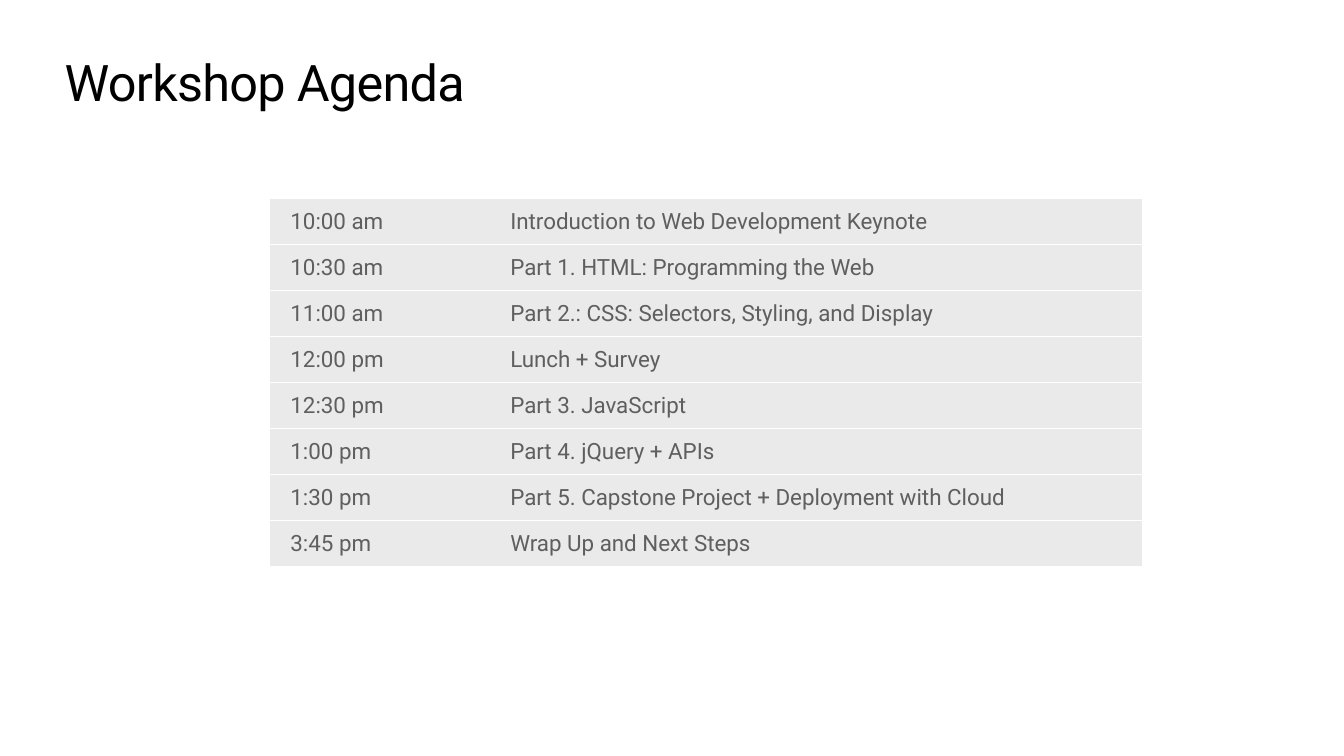
from dataclasses import dataclass

from lxml import etree
from pptx import Presentation
from pptx import util as u
from pptx.dml import color
from pptx.enum import text
from pptx.oxml import ns


@dataclass(frozen=True)
class Theme:
    font: str = "Roboto"
    title_color: str = "000000"
    text_color: str = "5F5F5F"
    row_fill: str = "EAEAEA"
    rule: str = "FFFFFF"
    title_size: float = 36
    text_size: float = 16
    rule_width: float = 0.75


THEME = Theme()

AGENDA = [
    ("10:00 am", "Introduction to Web Development Keynote"),
    ("10:30 am", "Part 1. HTML: Programming the Web"),
    ("11:00 am", "Part 2.: CSS: Selectors, Styling, and Display"),
    ("12:00 pm", "Lunch + Survey"),
    ("12:30 pm", "Part 3. JavaScript"),
    ("1:00 pm", "Part 4. jQuery + APIs"),
    ("1:30 pm", "Part 5. Capstone Project + Deployment with Cloud"),
    ("3:45 pm", "Wrap Up and Next Steps"),
]
COLUMN_WIDTHS = (5.54, 16.43)
ROW_HEIGHT = 1.16


def add_run(paragraph, wording, size, rgb):
    run = paragraph.add_run()
    run.text = wording
    run.font.name = THEME.font
    run.font.size = u.Pt(size)
    run.font.color.rgb = color.RGBColor.from_string(rgb)
    return run


def set_title(slide, wording):
    title = slide.shapes.title
    title.left, title.top = u.Cm(1.63), u.Cm(1.27)
    title.width, title.height = u.Cm(30.61), u.Cm(1.55)
    frame = title.text_frame
    frame.margin_left = frame.margin_right = 0
    frame.margin_top = frame.margin_bottom = 0
    frame.vertical_anchor = text.MSO_ANCHOR.MIDDLE
    frame.word_wrap = True
    heading = frame.paragraphs[0]
    heading.alignment = text.PP_ALIGN.LEFT
    heading.line_spacing = 1.0
    run = add_run(heading, wording, THEME.title_size, THEME.title_color)
    run.font._element.set("spc", "-50")


def set_borders(cell):
    properties = cell._tc.get_or_add_tcPr()
    for position, side in enumerate(("lnL", "lnR", "lnT", "lnB")):
        border = etree.Element(ns.qn(f"a:{side}"))
        if side in ("lnT", "lnB"):
            border.set("w", str(u.Pt(THEME.rule_width)))
            fill = etree.SubElement(border, ns.qn("a:solidFill"))
            etree.SubElement(fill, ns.qn("a:srgbClr"), val=THEME.rule)
        else:
            etree.SubElement(border, ns.qn("a:noFill"))
        properties.insert(position, border)


def fill_cell(cell, wording):
    cell.margin_left = cell.margin_right = u.Cm(0.51)
    cell.margin_top = cell.margin_bottom = u.Cm(0.25)
    cell.vertical_anchor = text.MSO_ANCHOR.MIDDLE
    cell.fill.solid()
    cell.fill.fore_color.rgb = color.RGBColor.from_string(THEME.row_fill)
    set_borders(cell)
    add_run(cell.text_frame.paragraphs[0], wording,
            THEME.text_size, THEME.text_color)


def add_agenda(slide):
    agenda = slide.shapes.add_table(
        len(AGENDA), len(COLUMN_WIDTHS), u.Cm(6.81), u.Cm(5),
        u.Cm(sum(COLUMN_WIDTHS)), u.Cm(ROW_HEIGHT * len(AGENDA))).table
    agenda.first_row = agenda.horz_banding = False
    for column, width in zip(agenda.columns, COLUMN_WIDTHS):
        column.width = u.Cm(width)
    for row, session in zip(agenda.rows, AGENDA):
        row.height = u.Cm(ROW_HEIGHT)
        for cell, wording in zip(row.cells, session):
            fill_cell(cell, wording)


def main():
    deck = Presentation()
    deck.slide_width, deck.slide_height = u.Cm(33.87), u.Cm(19.05)
    slide = deck.slides.add_slide(deck.slide_layouts[5])
    set_title(slide, "Workshop Agenda")
    add_agenda(slide)
    deck.save("out.pptx")


if __name__ == "__main__":
    main()
